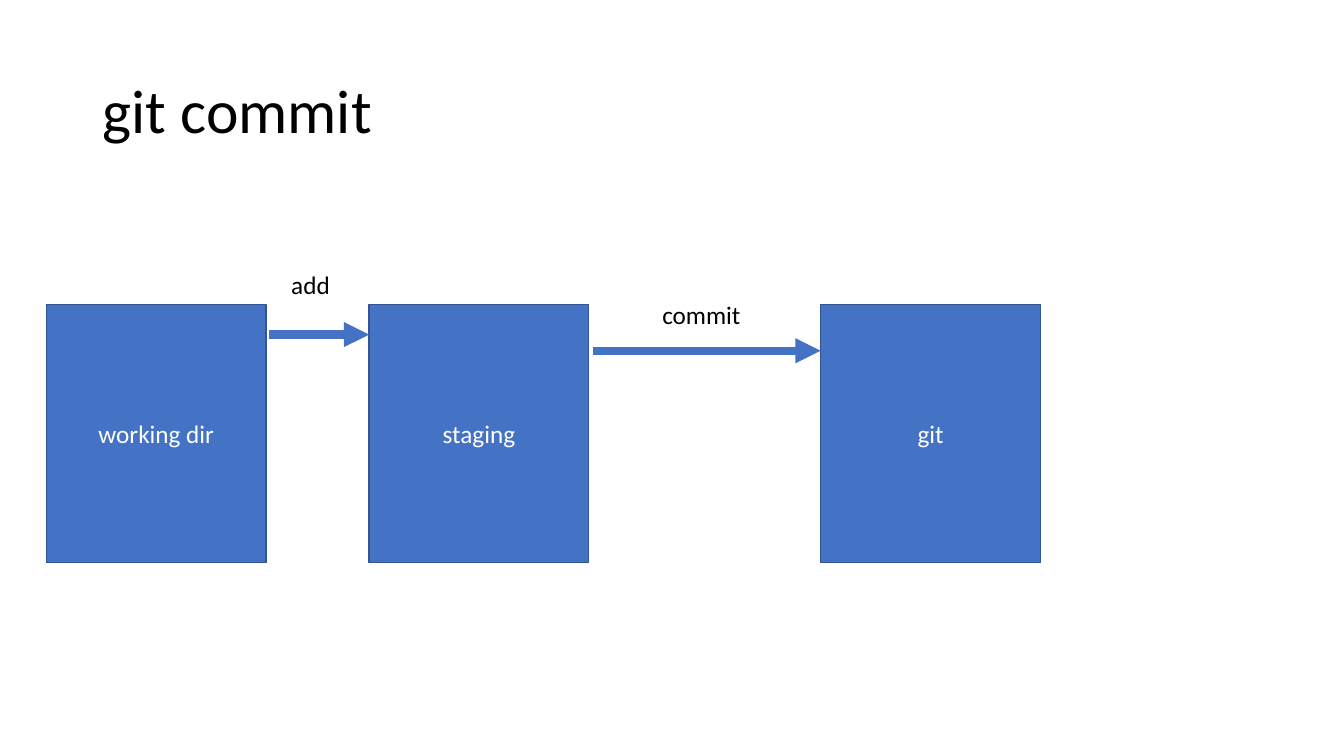
from dataclasses import dataclass

from lxml import etree
from pptx import Presentation
from pptx.dml.color import RGBColor
from pptx.enum.shapes import MSO_CONNECTOR, MSO_SHAPE
from pptx.enum.text import MSO_ANCHOR, MSO_AUTO_SIZE, PP_ALIGN
from pptx.oxml.ns import qn
from pptx.util import Inches, Pt

RECTANGLE = MSO_SHAPE.RECTANGLE
STRAIGHT = MSO_CONNECTOR.STRAIGHT
MIDDLE = MSO_ANCHOR.MIDDLE
LEFT = PP_ALIGN.LEFT
CENTER = PP_ALIGN.CENTER
FIT_SHAPE = MSO_AUTO_SIZE.SHAPE_TO_FIT_TEXT
NO_FIT = MSO_AUTO_SIZE.NONE


@dataclass(frozen=True)
class Theme:
    font: str = "Calibri"
    title_size: int = 44
    text_size: int = 18
    text: RGBColor = RGBColor(0, 0, 0)
    box_text: RGBColor = RGBColor(255, 255, 255)
    accent: RGBColor = RGBColor(0x44, 0x72, 0xC4)
    outline: RGBColor = RGBColor(0x32, 0x54, 0x91)
    outline_width: int = 1
    arrow_width: int = 6


class SlideBuilder:
    def __init__(self, slide, theme):
        self.slide = slide
        self.theme = theme

    def set_text(self, shape, text, size, color, alignment):
        paragraph = shape.text_frame.paragraphs[0]
        paragraph.text = text
        paragraph.alignment = alignment
        paragraph.font.name = self.theme.font
        paragraph.font.size = Pt(size)
        paragraph.font.color.rgb = color
        return paragraph

    def title(self, text, left, top, width, height):
        shape = self.slide.shapes.title
        shape.left, shape.top = Inches(left), Inches(top)
        shape.width, shape.height = Inches(width), Inches(height)
        shape.text_frame.vertical_anchor = MIDDLE
        shape.text_frame.auto_size = NO_FIT
        paragraph = self.set_text(shape, text, self.theme.title_size, self.theme.text, LEFT)
        paragraph.line_spacing = 0.9

    def box(self, text, left, top, width, height):
        shape = self.slide.shapes.add_shape(
            RECTANGLE, Inches(left), Inches(top), Inches(width), Inches(height)
        )
        shape.shadow.inherit = False
        shape.fill.solid()
        shape.fill.fore_color.rgb = self.theme.accent
        shape.line.color.rgb = self.theme.outline
        shape.line.width = Pt(self.theme.outline_width)
        shape.text_frame.vertical_anchor = MIDDLE
        self.set_text(shape, text, self.theme.text_size, self.theme.box_text, CENTER)

    def arrow(self, start, end, y):
        connector = self.slide.shapes.add_connector(
            STRAIGHT, Inches(start), Inches(y), Inches(end), Inches(y)
        )
        connector.line.color.rgb = self.theme.accent
        connector.line.width = Pt(self.theme.arrow_width)
        properties = connector._element.spPr
        line = properties.find(qn("a:ln"))
        etree.SubElement(line, qn("a:tailEnd"), type="triangle")
        etree.SubElement(properties, qn("a:effectLst"))

    def label(self, text, left, top, width, height):
        shape = self.slide.shapes.add_textbox(
            Inches(left), Inches(top), Inches(width), Inches(height)
        )
        shape.text_frame.word_wrap = False
        shape.text_frame.auto_size = FIT_SHAPE
        self.set_text(shape, text, self.theme.text_size, self.theme.text, LEFT)


BOX_TOP, BOX_WIDTH, BOX_HEIGHT = 3.02, 2.18, 2.56
LABEL_HEIGHT = 0.4
AREAS = [("working dir", 0.46), ("staging", 3.66), ("git", 8.14)]
STEPS = [
    ("commit", 6.47, 2.92, 0.99, 5.88, 8.14, 3.48),
    ("add", 2.79, 2.62, 0.59, 2.67, 3.66, 3.32),
]

presentation = Presentation()
presentation.slide_width = Inches(13.33)
presentation.slide_height = Inches(7.5)
title_only = presentation.slide_layouts[5]
builder = SlideBuilder(presentation.slides.add_slide(title_only), Theme())

builder.title("git commit", 0.92, 0.4, 11.5, 1.45)
for name, left in AREAS:
    builder.box(name, left, BOX_TOP, BOX_WIDTH, BOX_HEIGHT)
for command, left, top, width, start, end, arrow_y in STEPS:
    builder.arrow(start, end, arrow_y)
    builder.label(command, left, top, width, LABEL_HEIGHT)

presentation.save("out.pptx")
